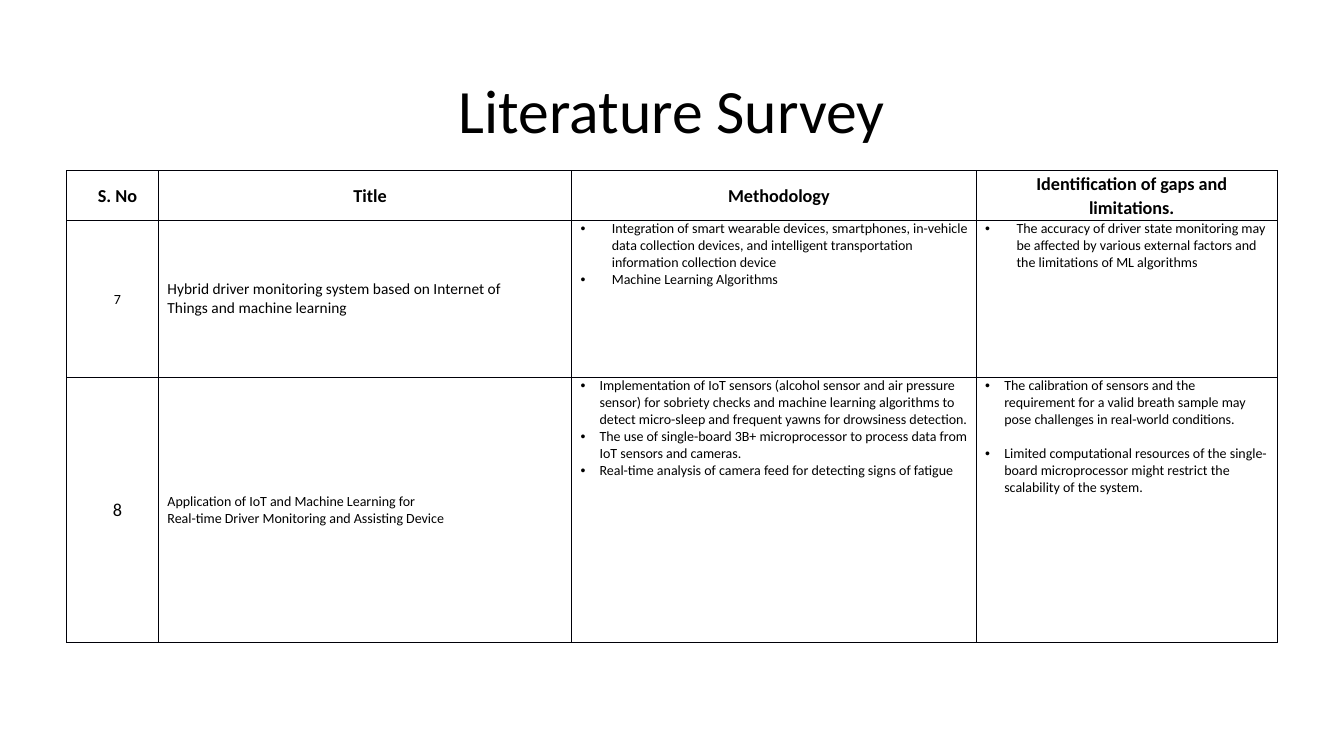
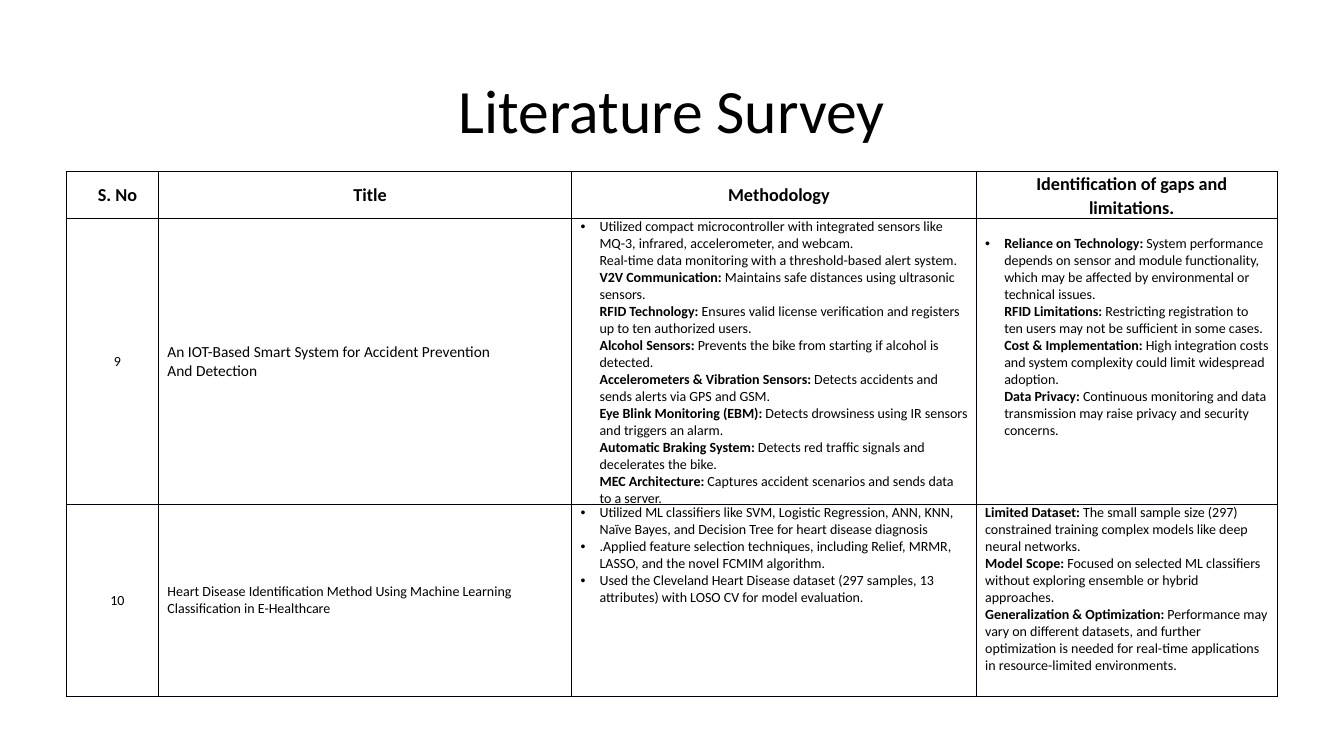
from dataclasses import dataclass

from lxml import etree
from pptx import Presentation
from pptx.dml.color import RGBColor
from pptx.enum import text as t
from pptx.oxml import ns
from pptx.util import Cm, Pt


@dataclass(frozen=True)
class Theme:
    font: str = "Calibri"
    ink: str = "000000"
    border: str = "000008"
    border_width: float = 0.5
    title: int = 44
    header: int = 13
    large: int = 11
    body: int = 10


@dataclass
class Entry:
    """One surveyed paper. A paragraph is a string, or a tuple of lines; ** marks bold."""
    number: str
    title: list
    methodology: list
    gaps: list
    number_size: int = Theme.body
    title_size: int = Theme.body
    hanging: float = 0.48
    gap_bullets: bool = True
    gap_spacing: float = 0
    gap_top: float = 0


THEME = Theme()

# Content
TITLE = "Literature Survey"
HEADERS = ["S. No", "Title", "Methodology", "Identification of gaps and limitations."]

FIRST_ENTRIES = [
    Entry(
        "7",
        ["Hybrid driver monitoring system based on Internet of",
         "Things and machine learning"],
        ["Integration of smart wearable devices, smartphones, in-vehicle data collection "
         "devices, and intelligent transportation information collection device",
         "Machine Learning Algorithms"],
        ["The accuracy of driver state monitoring may be affected by various external "
         "factors and the limitations of ML algorithms"],
        title_size=THEME.large, hanging=0.79),
    Entry(
        "8",
        ["Application of IoT and Machine Learning for",
         "Real-time Driver Monitoring and Assisting Device"],
        ["Implementation of IoT sensors (alcohol sensor and air pressure sensor) for sobriety "
         "checks and machine learning algorithms to detect micro-sleep and frequent yawns "
         "for drowsiness detection.",
         "The use of single-board 3B+ microprocessor to process data from IoT sensors "
         "and cameras.",
         "Real-time analysis of camera feed for detecting signs of fatigue"],
        ["The calibration of sensors and the requirement for a valid breath sample may pose "
         "challenges in real-world conditions.",
         "Limited computational resources of the single-board microprocessor might restrict "
         "the scalability of the system."],
        number_size=THEME.header, gap_spacing=12.2),
]

SECOND_ENTRIES = [
    Entry(
        "9",
        ["An IOT-Based Smart System for Accident Prevention", "And Detection"],
        [("Utilized compact microcontroller with integrated sensors like MQ-3, infrared, "
          "accelerometer, and webcam.",
          "Real-time data monitoring with a threshold-based alert system.",
          "**V2V Communication:** Maintains safe distances using ultrasonic sensors.",
          "**RFID Technology:** Ensures valid license verification and registers up to ten "
          "authorized users.",
          "**Alcohol Sensors:** Prevents the bike from starting if alcohol is detected.",
          "**Accelerometers & Vibration Sensors:** Detects accidents and sends alerts via "
          "GPS and GSM.",
          "**Eye Blink Monitoring (EBM):** Detects drowsiness using IR sensors and triggers "
          "an alarm.",
          "**Automatic Braking System:** Detects red traffic signals and decelerates the bike.",
          "**MEC Architecture:** Captures accident scenarios and sends data to a server.")],
        [("**Reliance on Technology:** System performance depends on sensor and module "
          "functionality, which may be affected by environmental or technical issues.",
          "**RFID Limitations:** Restricting registration to ten users may not be sufficient "
          "in some cases.",
          "**Cost & Implementation:** High integration costs and system complexity could "
          "limit widespread adoption.",
          "**Data Privacy:** Continuous monitoring and data transmission may raise privacy "
          "and security concerns.")],
        title_size=THEME.large, gap_top=0.43),
    Entry(
        "10",
        ["Heart Disease Identification Method Using Machine Learning Classification "
         "in E-Healthcare"],
        ["Utilized ML classifiers like SVM, Logistic Regression, ANN, KNN, Naïve Bayes, and "
         "Decision Tree for heart disease diagnosis",
         ".Applied feature selection techniques, including Relief, MRMR, LASSO, and the novel "
         "FCMIM algorithm.",
         "Used the Cleveland Heart Disease dataset (297 samples, 13 attributes) with LOSO CV "
         "for model evaluation."],
        ["**Limited Dataset:** The small sample size (297) constrained training complex "
         "models like deep neural networks.",
         "**Model Scope:** Focused on selected ML classifiers without exploring ensemble or "
         "hybrid approaches.",
         "**Generalization & Optimization:** Performance may vary on different datasets, and "
         "further optimization is needed for real-time applications in resource-limited "
         "environments."],
        gap_bullets=False),
]

# Table top, row heights (cm) and entries of each slide
SLIDES = [
    (4.3, [1.26, 3.95, 6.68], FIRST_ENTRIES),
    (4.32, [1.12, 6.93, 4.85], SECOND_ENTRIES),
]
TABLE_LEFT = 1.68
COLUMN_WIDTHS = [2.32, 10.41, 10.2, 7.58]
CELL_INSET = 0.22

# Format shared by the header row and the number column
CENTRED = dict(align=t.PP_ALIGN.CENTER, indent=0.24, line_spacing=1.07, space_after=8)


def write(frame, paragraphs, size=THEME.body, bold=False, align=t.PP_ALIGN.LEFT, indent=0,
          hanging=0, line_spacing=1.0, space_after=0, gap=0):
    """Fill a text frame; hanging (cm) adds bullets, gap (pt) parts the paragraphs."""
    frame.word_wrap = True
    for index, content in enumerate(paragraphs):
        paragraph = frame.paragraphs[0] if index == 0 else frame.add_paragraph()
        paragraph.alignment = align
        paragraph.line_spacing = line_spacing
        paragraph.space_before = Pt(gap if index else 0)
        paragraph.space_after = Pt(space_after)
        properties = paragraph._p.get_or_add_pPr()
        properties.set("marL", str(Cm(indent + hanging)))
        properties.set("indent", str(Cm(-hanging)))
        if hanging:
            font = etree.SubElement(properties, ns.qn("a:buFont"))
            font.set("typeface", "Arial")
            etree.SubElement(properties, ns.qn("a:buChar")).set("char", "•")
        lines = (content,) if isinstance(content, str) else content
        for line_index, line in enumerate(lines):
            if line_index:
                paragraph.add_line_break()
            for part_index, part in enumerate(line.split("**")):
                if not part:
                    continue
                run = paragraph.add_run()
                run.text = part
                run.font.name = THEME.font
                run.font.size = Pt(size)
                run.font.bold = bold or part_index % 2 == 1
                run.font.color.rgb = RGBColor.from_string(THEME.ink)


def style_cell(cell, anchor, top=0):
    cell.margin_left = cell.margin_right = Cm(CELL_INSET)
    cell.margin_top, cell.margin_bottom = Cm(top), 0
    cell.vertical_anchor = anchor
    cell.fill.background()
    properties = cell._tc.get_or_add_tcPr()
    for position, side in enumerate(("lnL", "lnR", "lnT", "lnB")):
        line = etree.Element(ns.qn(f"a:{side}"), w=str(Pt(THEME.border_width)))
        fill = etree.SubElement(line, ns.qn("a:solidFill"))
        etree.SubElement(fill, ns.qn("a:srgbClr")).set("val", THEME.border)
        properties.insert(position, line)


def add_title(slide):
    box = slide.shapes.add_textbox(Cm(2.33), Cm(1.01), Cm(29.21), Cm(3.68))
    box.text_frame.vertical_anchor = t.MSO_ANCHOR.MIDDLE
    write(box.text_frame, [TITLE], size=THEME.title, align=t.PP_ALIGN.CENTER, line_spacing=0.9)


def add_survey_table(slide, top, row_heights, entries):
    table = slide.shapes.add_table(
        len(row_heights), len(COLUMN_WIDTHS), Cm(TABLE_LEFT), Cm(top),
        Cm(sum(COLUMN_WIDTHS)), Cm(sum(row_heights))).table
    table.first_row = table.horz_banding = False
    for column, width in zip(table.columns, COLUMN_WIDTHS):
        column.width = Cm(width)
    for row, height in zip(table.rows, row_heights):
        row.height = Cm(height)

    # Header row
    middle, upper = t.MSO_ANCHOR.MIDDLE, t.MSO_ANCHOR.TOP
    for cell, header in zip(table.rows[0].cells, HEADERS):
        style_cell(cell, middle)
        write(cell.text_frame, [header], size=THEME.header, bold=True, **CENTRED)

    # One row per paper
    for row_index, entry in enumerate(entries, start=1):
        number, title, methodology, gaps = table.rows[row_index].cells
        for cell, anchor, inset in ((number, middle, 0), (title, middle, 0),
                                    (methodology, upper, 0), (gaps, upper, entry.gap_top)):
            style_cell(cell, anchor, inset)
        write(number.text_frame, [entry.number], size=entry.number_size, **CENTRED)
        write(title.text_frame, entry.title, size=entry.title_size)
        write(methodology.text_frame, entry.methodology, hanging=entry.hanging)
        write(gaps.text_frame, entry.gaps, gap=entry.gap_spacing,
              hanging=entry.hanging if entry.gap_bullets else 0)


def main():
    presentation = Presentation()
    presentation.slide_width, presentation.slide_height = Cm(33.87), Cm(19.05)
    for top, row_heights, entries in SLIDES:
        slide = presentation.slides.add_slide(presentation.slide_layouts[6])
        add_title(slide)
        add_survey_table(slide, top, row_heights, entries)
    presentation.save("out.pptx")


if __name__ == "__main__":
    main()
